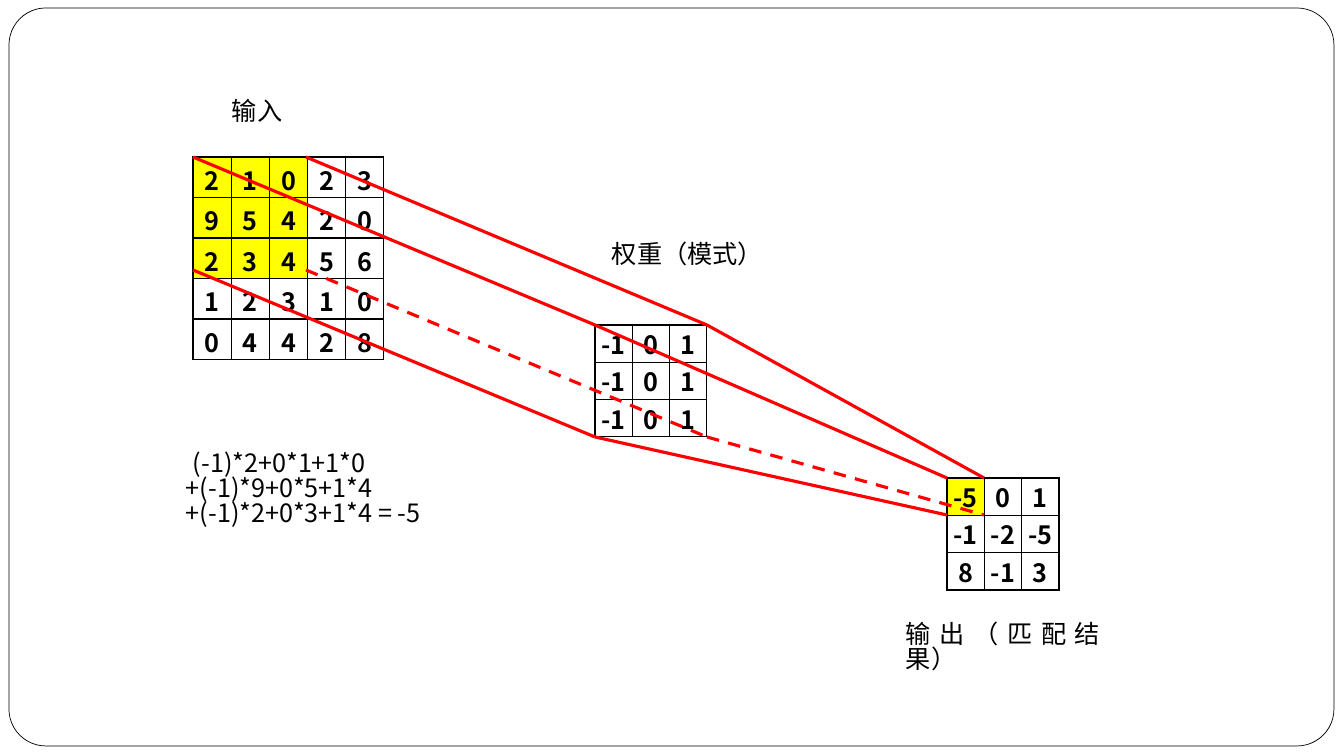
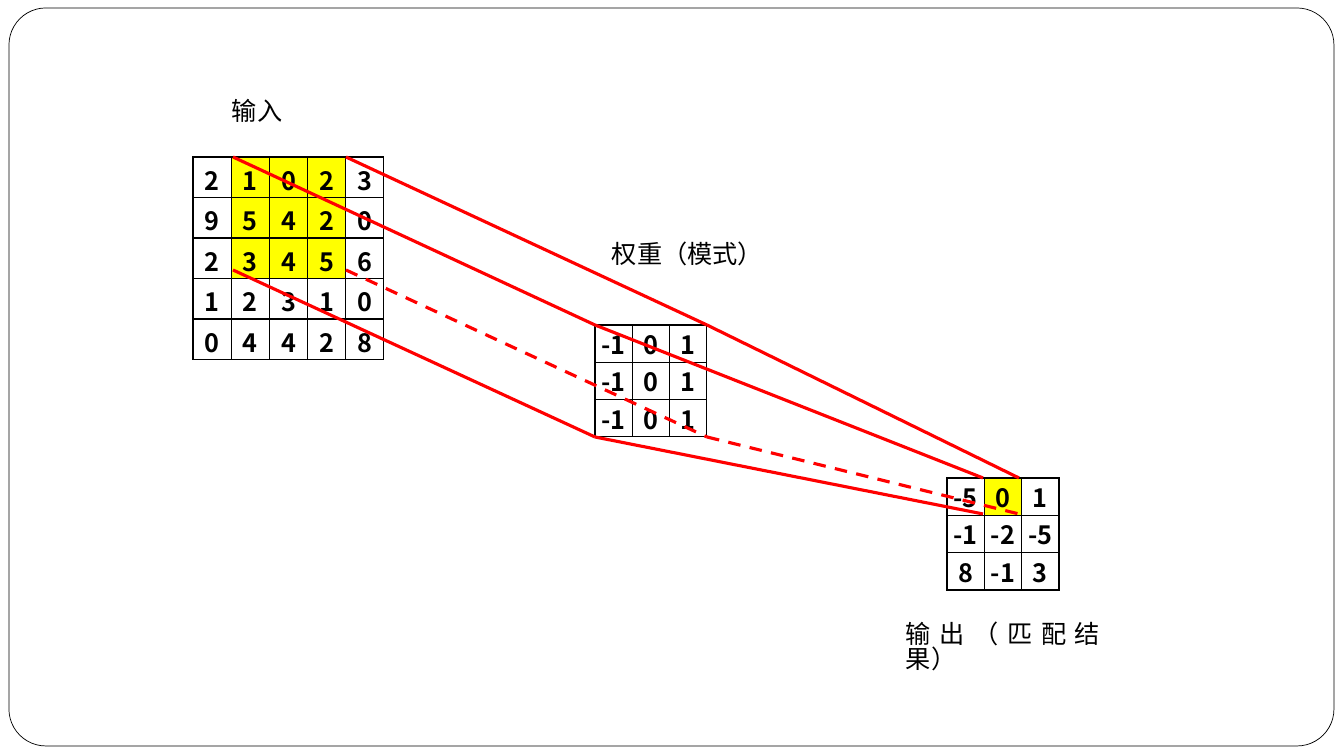
from dataclasses import dataclass

from lxml import etree
from pptx import Presentation
from pptx import util as u
from pptx.dml.color import RGBColor
from pptx.enum import dml, shapes, text
from pptx.oxml import ns

SLIDE_W, SLIDE_H = 1344, 756
EMU_PER_PX = 12192000 / SLIDE_W
FONT = "Noto Sans CJK SC"
BLACK, WHITE, YELLOW, RED = "000000", "FFFFFF", "FFFF00", "FF0000"


@dataclass(frozen=True)
class Square:
    left: int
    top: int
    size: int

    def corners(self) -> list[tuple[int, int]]:
        """Top left, top right, bottom left, bottom right."""
        return [(self.left + dx, self.top + dy)
                for dy in (0, self.size) for dx in (0, self.size)]


@dataclass(frozen=True)
class Matrix:
    left: int
    top: int
    width: int
    height: int
    rows: tuple[str, ...]
    inset_top: int = 0


@dataclass(frozen=True)
class Label:
    left: int
    top: int
    width: int
    height: int
    lines: tuple[str, ...]
    justified: bool = True
    first_indent: int = 0


@dataclass(frozen=True)
class Step:
    """One position of the kernel: window on the input, cell of the output."""
    column: int
    window: Square
    target: Square
    labels: tuple[Label, ...]


KERNEL = 3
INPUT = Matrix(193, 157, 191, 189, ("2 1 0 2 3", "9 5 4 2 0", "2 3 4 5 6",
                                    "1 2 3 1 0", "0 4 4 2 8"), inset_top=4)
WEIGHTS = Matrix(595, 325, 112, 112, ("-1 0 1",) * KERNEL)
OUTPUT = Matrix(947, 478, 112, 112, ("-5 0 1", "-1 -2 -5", "8 -1 3"))
WEIGHT_SQUARE = Square(WEIGHTS.left, WEIGHTS.top, WEIGHTS.width)

LABELS = (
    Label(896, 618, 214, 48, ("输出（匹配结果）",)),
    Label(602, 238, 175, 44, ("权重（模式）",), justified=False),
    Label(222, 95, 84, 46, ("输入",)),
)
FORMULA = Label(176, 447, 279, 103,
                ("(-1)*2+0*1+1*0", "+(-1)*9+0*5+1*4", "+(-1)*2+0*3+1*4 = -5"),
                first_indent=7)
STEPS = (
    Step(0, Square(193, 157, 113), Square(947, 478, 37), LABELS + (FORMULA,)),
    Step(1, Square(233, 157, 113), Square(983, 478, 36), LABELS),
)


def px(value: float) -> u.Emu:
    return u.Emu(round(value * EMU_PER_PX))


def rgb(value: str) -> RGBColor:
    return RGBColor.from_string(value)


def add_run(p, content: str, bold: bool = False) -> None:
    r = p.add_run()
    r.text = content
    r.font.size = u.Pt(18)
    r.font.bold = bold
    r.font.color.rgb = rgb(BLACK)
    r.font.name = FONT
    etree.SubElement(r.font._element, ns.qn("a:ea"), typeface=FONT)


def border_cell(cell) -> None:
    tc_pr = cell._tc.get_or_add_tcPr()
    for i, side in enumerate(("lnL", "lnR", "lnT", "lnB")):
        ln = etree.Element(ns.qn(f"a:{side}"), w=str(u.Pt(1)))
        fill = etree.SubElement(ln, ns.qn("a:solidFill"))
        etree.SubElement(fill, ns.qn("a:srgbClr"), val=BLACK)
        tc_pr.insert(i, ln)


def add_matrix(s, matrix: Matrix, marked: set[tuple[int, int]]) -> None:
    """Draw the numbers as a table, with the marked (row, column) cells in yellow."""
    values = [row.split() for row in matrix.rows]
    n_rows, n_cols = len(values), len(values[0])
    table = s.shapes.add_table(n_rows, n_cols, px(matrix.left), px(matrix.top),
                               px(matrix.width), px(matrix.height)).table
    table.first_row = table.horz_banding = False
    for col in table.columns:
        col.width = px(matrix.width / n_cols)
    for i, row in enumerate(values):
        table.rows[i].height = px(matrix.height / n_rows)
        for j, value in enumerate(row):
            cell = table.cell(i, j)
            cell.margin_left = cell.margin_right = px(2)
            cell.margin_top, cell.margin_bottom = px(matrix.inset_top), 0
            cell.vertical_anchor = text.MSO_ANCHOR.MIDDLE
            if (i, j) in marked:
                cell.fill.solid()
                cell.fill.fore_color.rgb = rgb(YELLOW)
            else:
                cell.fill.background()
            border_cell(cell)
            p = cell.text_frame.paragraphs[0]
            p.alignment = text.PP_ALIGN.CENTER
            add_run(p, value, bold=True)


def add_projection(s, start: Square, end: Square) -> None:
    """Join matching corners; the hidden bottom right edge is dashed."""
    for i, (a, b) in enumerate(zip(start.corners(), end.corners())):
        line = s.shapes.add_connector(shapes.MSO_CONNECTOR.STRAIGHT,
                                      *(px(v) for v in a + b))
        line.line.color.rgb = rgb(RED)
        line.line.width = u.Pt(2.25)
        if i == 3:
            line.line.dash_style = dml.MSO_LINE.DASH
        etree.SubElement(line._element.spPr, ns.qn("a:effectLst"))


def add_label(s, label: Label) -> None:
    sp = s.shapes.add_textbox(px(label.left), px(label.top),
                              px(label.width), px(label.height))
    if label.justified:
        sp.fill.solid()
        sp.fill.fore_color.rgb = rgb(WHITE)
    tf = sp.text_frame
    tf.word_wrap = True
    for i, content in enumerate(label.lines):
        p = tf.add_paragraph() if i else tf.paragraphs[0]
        p.line_spacing = 0.83
        if label.justified:
            p.alignment = text.PP_ALIGN.JUSTIFY
        if label.first_indent and i == 0:
            p._p.get_or_add_pPr().set("indent", str(px(label.first_indent)))
        add_run(p, content)


def add_master_frame(prs, s) -> None:
    """Draw the rounded frame on a slide, then move it behind all slides."""
    sp = s.shapes.add_shape(shapes.MSO_SHAPE.ROUNDED_RECTANGLE,
                            px(9), px(8), px(1325), px(738))
    sp.adjustments[0] = 0.05
    sp.shadow.inherit = False
    sp.fill.solid()
    sp.fill.fore_color.rgb = rgb(WHITE)
    sp.line.color.rgb = rgb(BLACK)
    sp.line.width = u.Pt(0.5)
    prs.slide_master.element.cSld.spTree.insert(2, sp._element)


def add_step(s, step: Step) -> None:
    window = {(i, step.column + j) for i in range(KERNEL) for j in range(KERNEL)}
    add_matrix(s, INPUT, window)
    add_matrix(s, WEIGHTS, set())
    add_matrix(s, OUTPUT, {(0, step.column)})
    add_projection(s, step.window, WEIGHT_SQUARE)
    add_projection(s, WEIGHT_SQUARE, step.target)
    for label in step.labels:
        add_label(s, label)


def main() -> None:
    prs = Presentation()
    prs.slide_width, prs.slide_height = px(SLIDE_W), px(SLIDE_H)
    blank = prs.slide_layouts[6]
    slides = [prs.slides.add_slide(blank) for _ in STEPS]
    add_master_frame(prs, slides[0])
    for s, step in zip(slides, STEPS):
        add_step(s, step)
    prs.save("out.pptx")


if __name__ == "__main__":
    main()
